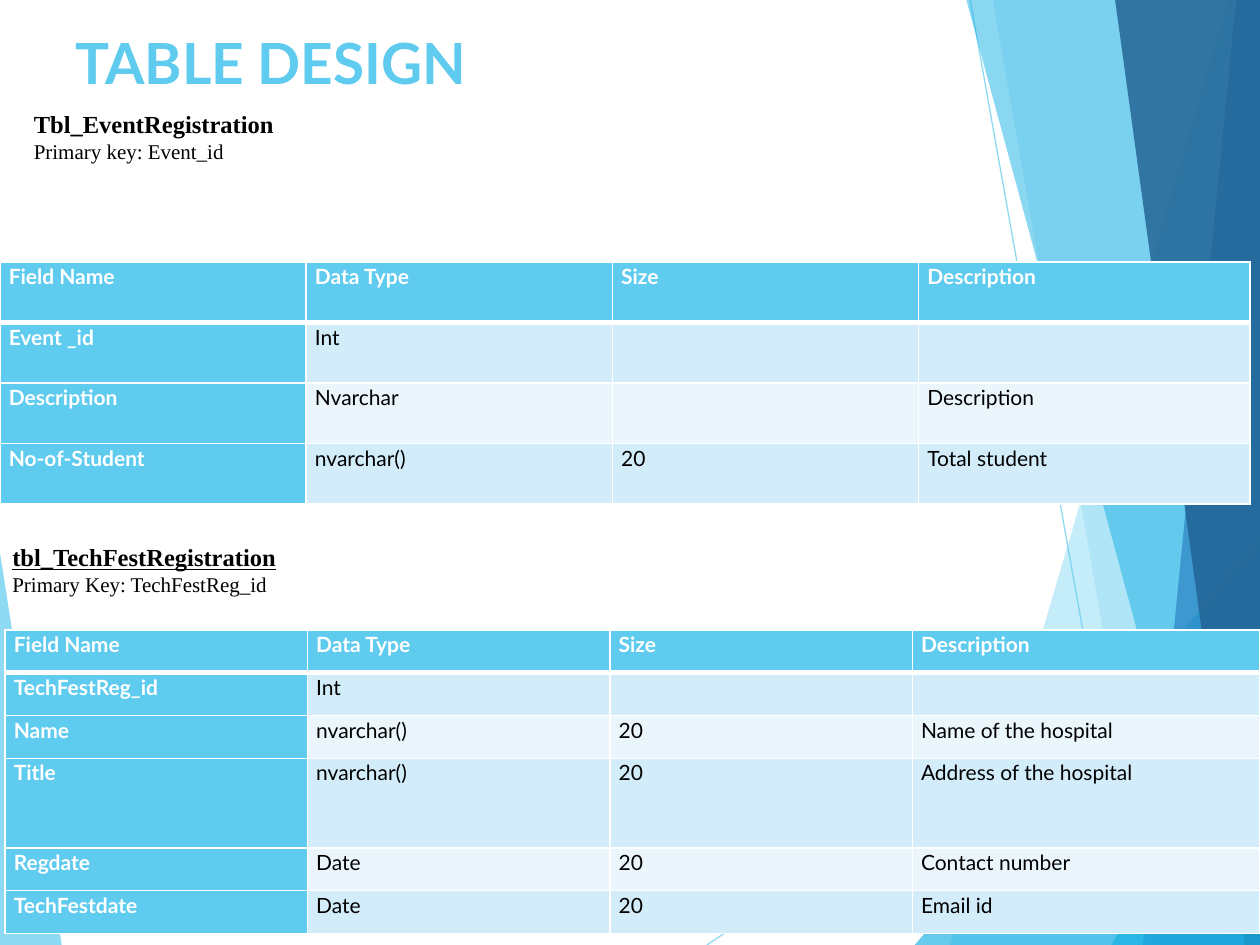
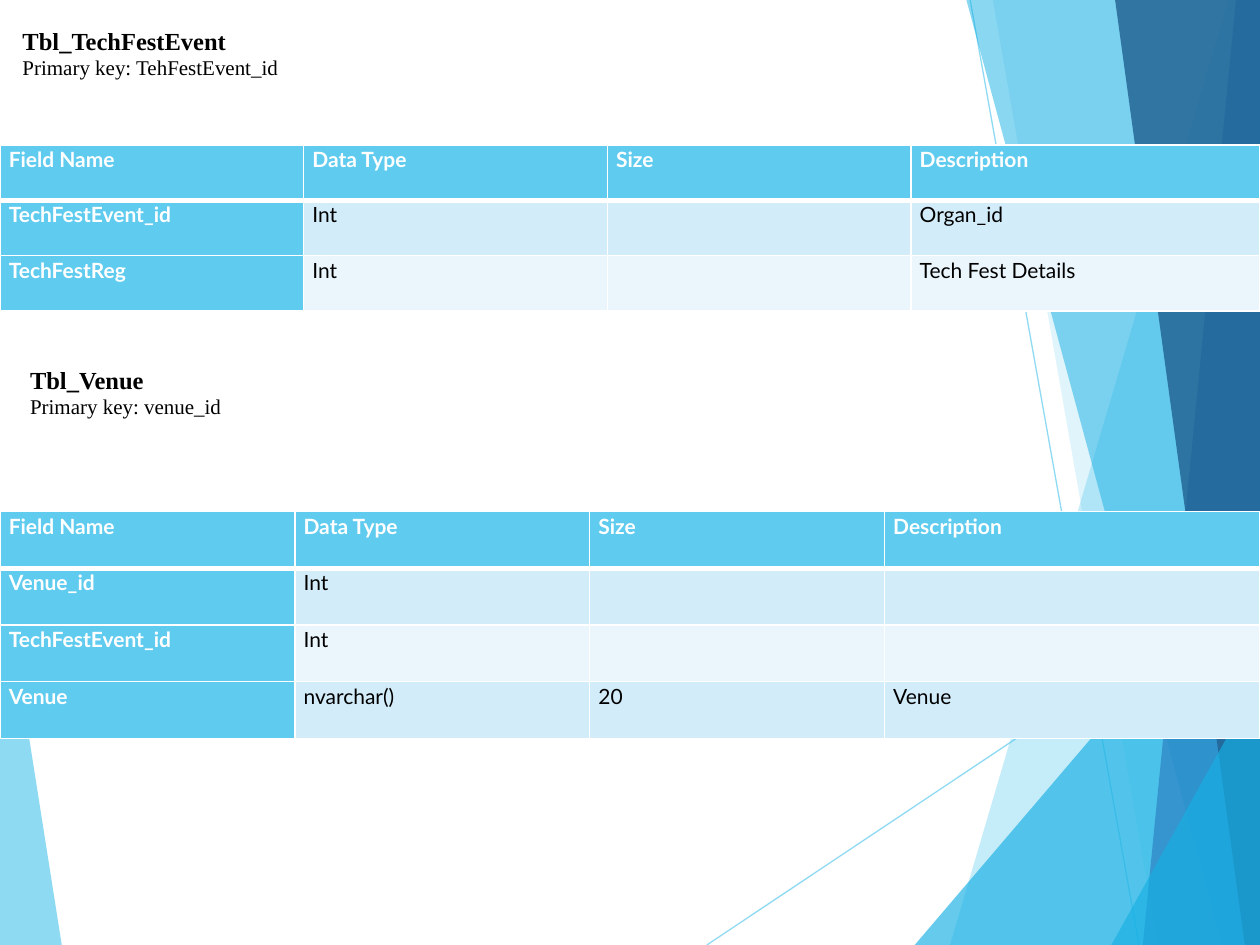
from dataclasses import dataclass

from lxml import etree
from pptx import Presentation
from pptx import util as u
from pptx.dml.color import RGBColor
from pptx.enum import shapes, text
from pptx.oxml import ns

EMU_PER_PX = 9144  # 100 px to the inch
SLIDE_W, SLIDE_H = 1000, 750


@dataclass(frozen=True)
class Theme:
    sky: str = "5FCBEF"
    cyan: str = "17B0E4"
    blue: str = "2E83C3"
    navy: str = "226292"
    band_dark: str = "D2ECF9"
    band_light: str = "EAF6FC"
    white: str = "FFFFFF"
    black: str = "000000"
    sans: str = "Lato"
    serif: str = "Times New Roman"
    title_pt: float = 32.4
    caption_pt: float = 14
    body_pt: float = 12
    cell_spacing: float = 1.07
    grid_pt: float = 1
    header_rule_pt: float = 3
    ray_pt: float = 0.75


THEME = Theme()


@dataclass(frozen=True)
class Facet:
    points: tuple[tuple[int, int], ...]
    color: str
    opacity: int


@dataclass(frozen=True)
class Ray:
    start: tuple[int, int]
    end: tuple[int, int]
    opacity: int = 70


@dataclass(frozen=True)
class Caption:
    left: int
    top: int
    name: str
    key: str
    height: int = 50
    underline: bool = False


@dataclass(frozen=True)
class FieldTable:
    left: int
    top: int
    column: int
    last_column: int
    row_heights: tuple[int, ...]
    fields: tuple[tuple[str, str, str, str], ...]


@dataclass(frozen=True)
class SlideContent:
    sections: tuple[tuple[Caption, FieldTable], ...]
    title: str = ""


HEADER = ("Field Name", "Data Type", "Size", "Description")

RAYS = (Ray((561, 750), (1000, 457)), Ray((770, 0), (904, 750)))
FACETS = (
    Facet(((0, 439), (49, 750), (0, 750)), THEME.sky, 70),
    Facet(((975, 0), (754, 750), (1000, 750), (1000, 0)), THEME.sky, 36),
    Facet(((788, 0), (919, 750), (1000, 750), (1000, 0)), THEME.sky, 20),
    Facet(((726, 750), (1000, 429), (1000, 750)), THEME.cyan, 66),
    Facet(((767, 0), (970, 750), (1000, 750), (1000, 0)), THEME.cyan, 50),
    Facet(((981, 0), (907, 750), (1000, 750), (1000, 0)), THEME.blue, 70),
    Facet(((885, 0), (988, 750), (1000, 750), (1000, 0)), THEME.navy, 82),
    Facet(((882, 750), (1000, 538), (1000, 750)), THEME.cyan, 66),
)

SLIDES = (
    SlideContent(
        title="TABLE DESIGN",
        sections=(
            (
                Caption(17, 83, "Tbl_EventRegistration", "Primary key: Event_id"),
                FieldTable(0, 208, 243, 263, (48,) * 4, (
                    ("Event _id", "Int", "", ""),
                    ("Description", "Nvarchar", "", "Description"),
                    ("No-of-Student", "nvarchar()", "20", "Total student"),
                )),
            ),
            (
                Caption(0, 425, "tbl_TechFestRegistration",
                        "Primary Key: TechFestReg_id", height=54, underline=True),
                FieldTable(4, 500, 240, 276, (34, 34, 34, 71, 34, 34), (
                    ("TechFestReg_id", "Int", "", ""),
                    ("Name", "nvarchar()", "20", "Name of the hospital"),
                    ("Title", "nvarchar()", "20", "Address of the hospital"),
                    ("Regdate", "Date", "20", "Contact number"),
                    ("TechFestdate", "Date", "20", "Email id"),
                )),
            ),
        ),
    ),
    SlideContent(
        sections=(
            (
                Caption(8, 17, "Tbl_TechFestEvent", "Primary key: TehFestEvent_id"),
                FieldTable(0, 115, 241, 277, (44,) * 3, (
                    ("TechFestEvent_id", "Int", "", "Organ_id"),
                    ("TechFestReg", "Int", "", "Tech Fest Details"),
                )),
            ),
            (
                Caption(14, 286, "Tbl_Venue", "Primary key: venue_id"),
                FieldTable(0, 406, 234, 298, (45,) * 4, (
                    ("Venue_id", "Int", "", ""),
                    ("TechFestEvent_id", "Int", "", ""),
                    ("Venue", "nvarchar()", "20", "Venue"),
                )),
            ),
        ),
    ),
)


def px(length: int) -> u.Emu:
    return u.Emu(length * EMU_PER_PX)


def set_opacity(shape, percent: int) -> None:
    color = next(shape.element.iter(ns.qn("a:srgbClr")))
    etree.SubElement(color, ns.qn("a:alpha"), val=str(percent * 1000))


def draw_facet(slide, facet: Facet) -> None:
    outline = slide.shapes.build_freeform(*facet.points[0], scale=EMU_PER_PX)
    outline.add_line_segments(facet.points[1:], close=True)
    pane = outline.convert_to_shape()
    pane.shadow.inherit = False
    pane.fill.solid()
    pane.fill.fore_color.rgb = RGBColor.from_string(facet.color)
    pane.line.fill.background()
    set_opacity(pane, facet.opacity)


def draw_ray(slide, ray: Ray) -> None:
    beam = slide.shapes.add_connector(
        shapes.MSO_CONNECTOR.STRAIGHT, *map(px, ray.start + ray.end))
    beam.line.color.rgb = RGBColor.from_string(THEME.sky)
    beam.line.width = u.Pt(THEME.ray_pt)
    set_opacity(beam, ray.opacity)
    etree.SubElement(beam.element.spPr, ns.qn("a:effectLst"))


def draw_backdrop(slide) -> None:
    draw_facet(slide, FACETS[0])
    for ray in RAYS:
        draw_ray(slide, ray)
    for facet in FACETS[1:]:
        draw_facet(slide, facet)


def add_words(paragraph, words: str, font: str, size: float, color: str,
              bold: bool = False, underline: bool = False) -> None:
    run = paragraph.add_run()
    run.text = words
    run.font.name = font
    run.font.size = u.Pt(size)
    run.font.color.rgb = RGBColor.from_string(color)
    run.font.bold = bold
    run.font.underline = underline


def add_text_frame(slide, left: int, top: int, width: int, height: int, anchor):
    frame = slide.shapes.add_textbox(*map(px, (left, top, width, height))).text_frame
    frame.word_wrap = True
    frame.vertical_anchor = anchor
    return frame


def draw_title(slide, title: str) -> None:
    frame = add_text_frame(slide, 50, 17, 694, 67, text.MSO_ANCHOR.TOP)
    add_words(frame.paragraphs[0], title, THEME.sans, THEME.title_pt, THEME.sky, bold=True)


def draw_caption(slide, caption: Caption) -> None:
    frame = add_text_frame(slide, caption.left, caption.top, SLIDE_W - caption.left,
                           caption.height, text.MSO_ANCHOR.MIDDLE)
    add_words(frame.paragraphs[0], caption.name, THEME.serif, THEME.caption_pt,
              THEME.black, bold=True, underline=caption.underline)
    add_words(frame.add_paragraph(), caption.key, THEME.serif, THEME.body_pt, THEME.black)


def set_borders(cell, top: float, bottom: float) -> None:
    properties = cell._tc.get_or_add_tcPr()
    widths = {"L": THEME.grid_pt, "R": THEME.grid_pt, "T": top, "B": bottom}
    for side, width in widths.items():
        edge = etree.SubElement(properties, ns.qn(f"a:ln{side}"), w=str(u.Pt(width)))
        fill = etree.SubElement(edge, ns.qn("a:solidFill"))
        etree.SubElement(fill, ns.qn("a:srgbClr"), val=THEME.white)


def fill_cell(cell, words: str, row: int, column: int) -> None:
    heading = row == 0 or column == 0
    band = THEME.band_dark if row % 2 else THEME.band_light
    set_borders(cell,
                top=THEME.header_rule_pt if row == 1 else THEME.grid_pt,
                bottom=THEME.header_rule_pt if row == 0 else THEME.grid_pt)
    cell.fill.solid()
    cell.fill.fore_color.rgb = RGBColor.from_string(THEME.sky if heading else band)
    cell.margin_left = cell.margin_right = px(7)
    cell.margin_top = cell.margin_bottom = 0
    paragraph = cell.text_frame.paragraphs[0]
    paragraph.line_spacing = THEME.cell_spacing
    if words:
        add_words(paragraph, words, THEME.sans, THEME.body_pt,
                  THEME.white if heading else THEME.black, bold=heading)


def draw_field_table(slide, layout: FieldTable) -> None:
    widths = (layout.column,) * (len(HEADER) - 1) + (layout.last_column,)
    rows = (HEADER,) + layout.fields
    grid = slide.shapes.add_table(
        len(rows), len(HEADER), px(layout.left), px(layout.top),
        px(sum(widths)), px(sum(layout.row_heights))).table
    grid.first_col = True
    for column, width in zip(grid.columns, widths):
        column.width = px(width)
    for r, (height, entries) in enumerate(zip(layout.row_heights, rows)):
        grid.rows[r].height = px(height)
        for c, words in enumerate(entries):
            fill_cell(grid.cell(r, c), words, r, c)


def main() -> None:
    deck = Presentation()
    deck.slide_width, deck.slide_height = px(SLIDE_W), px(SLIDE_H)
    blank = deck.slide_layouts[6]
    for content in SLIDES:
        slide = deck.slides.add_slide(blank)
        draw_backdrop(slide)
        if content.title:
            draw_title(slide, content.title)
        for caption, fields in content.sections:
            draw_field_table(slide, fields)
            draw_caption(slide, caption)
    deck.save("out.pptx")


if __name__ == "__main__":
    main()
